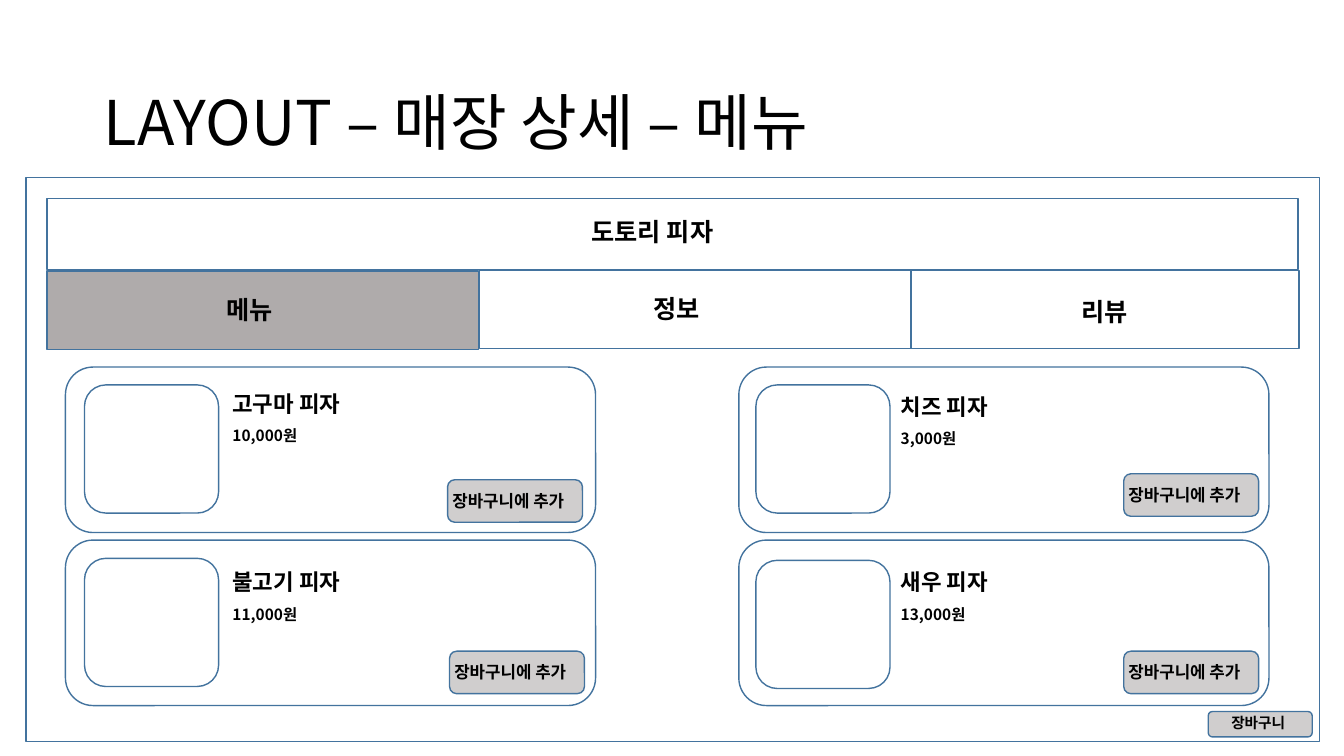
from dataclasses import dataclass

from lxml import etree
from pptx import Presentation
from pptx.dml.color import RGBColor
from pptx.enum.shapes import MSO_SHAPE
from pptx.enum.text import MSO_ANCHOR
from pptx.oxml.ns import qn
from pptx.util import Cm, Pt

RECTANGLE = MSO_SHAPE.RECTANGLE
ROUNDED = MSO_SHAPE.ROUNDED_RECTANGLE
MIDDLE = MSO_ANCHOR.MIDDLE
TOP = MSO_ANCHOR.TOP


@dataclass(frozen=True)
class Theme:
    """Font, colours and type sizes of the wireframe."""

    font: str = "Noto Sans CJK KR"
    ink: RGBColor = RGBColor(0x00, 0x00, 0x00)
    paper: RGBColor = RGBColor(0xFF, 0xFF, 0xFF)
    outline: RGBColor = RGBColor(0x43, 0x73, 0x9E)
    active: RGBColor = RGBColor(0xAF, 0xAB, 0xAB)
    button: RGBColor = RGBColor(0xD0, 0xCE, 0xCE)
    title: float = 44
    heading: float = 18
    item: float = 16
    action: float = 12
    price: float = 11
    cart: float = 10.5


@dataclass(frozen=True)
class MenuItem:
    """One menu card with its places in centimetres."""

    name: str
    price: str
    left: float
    top: float
    photo: tuple
    text: tuple
    button: tuple


THEME = Theme()
LEFT_COLUMN, RIGHT_COLUMN = 1.65, 18.62
UPPER_ROW, LOWER_ROW = 9.25, 13.61
MENU = (
    MenuItem("고구마 피자", "10,000원", LEFT_COLUMN, UPPER_ROW,
             (2.13, 9.7), (5.61, 9.7), (11.28, 12.09)),
    MenuItem("불고기 피자", "11,000원", LEFT_COLUMN, LOWER_ROW,
             (2.13, 14.07), (5.61, 14.2), (11.33, 16.41)),
    MenuItem("치즈 피자", "3,000원", RIGHT_COLUMN, UPPER_ROW,
             (19.05, 9.7), (22.45, 9.78), (28.32, 11.94)),
    MenuItem("새우 피자", "13,000원", RIGHT_COLUMN, LOWER_ROW,
             (19.05, 14.12), (22.45, 14.2), (28.32, 16.41)),
)
TABS = (
    ("메뉴", 1.19, 6.83, 10.87, THEME.active, (5.46, 7.29)),
    ("정보", 12.09, 6.81, 10.87, THEME.paper, (16.21, 7.26)),
    ("리뷰", 22.96, 6.81, 9.78, THEME.paper, (27.0, 7.34)),
)


def add_box(slide, kind, left, top, width, height, fill=THEME.paper):
    """Add an outlined preset shape."""
    shape = slide.shapes.add_shape(kind, Cm(left), Cm(top), Cm(width), Cm(height))
    shape.shadow.inherit = False
    shape.fill.solid()
    shape.fill.fore_color.rgb = fill
    shape.line.color.rgb = THEME.outline
    shape.line.width = Pt(1)


def add_label(slide, text, left, top, width, height, size, bold=True, anchor=TOP):
    """Add a one-line text box and return its paragraph."""
    box = slide.shapes.add_textbox(Cm(left), Cm(top), Cm(width), Cm(height))
    frame = box.text_frame
    frame.word_wrap = True
    frame.vertical_anchor = anchor
    paragraph = frame.paragraphs[0]
    paragraph.text = text
    font = paragraph.font
    font.name = THEME.font
    font.size = Pt(size)
    font.bold = bold
    font.color.rgb = THEME.ink
    properties = paragraph._p.pPr.find(qn("a:defRPr"))
    etree.SubElement(properties, qn("a:ea"), typeface=THEME.font)
    return paragraph


def add_tab(slide, text, left, top, width, fill, label_place):
    """Add one tab of the store page."""
    add_box(slide, RECTANGLE, left, top, width, 1.98, fill)
    add_label(slide, text, *label_place, 2.41, 1.02, THEME.heading)


def add_menu_card(slide, item):
    """Add a card with photo frame, name, price and button."""
    add_box(slide, ROUNDED, item.left, item.top, 13.36, 4.17)
    add_box(slide, ROUNDED, *item.photo, 3.38, 3.23)
    text_left, text_top = item.text
    add_label(slide, item.name, text_left, text_top, 4.52, 0.94, THEME.item)
    add_label(slide, item.price, text_left, text_top + 0.92, 7.85, 0.74, THEME.price)
    button_left, button_top = item.button
    add_box(slide, ROUNDED, button_left, button_top, 3.4, 1.07, THEME.button)
    add_label(slide, "장바구니에 추가", button_left - 0.13, button_top + 0.15,
              3.81, 0.76, THEME.action)


def main():
    """Build the store menu layout and save it."""
    presentation = Presentation()
    presentation.slide_width = Cm(33.87)
    presentation.slide_height = Cm(19.05)
    slide = presentation.slides.add_slide(presentation.slide_layouts[6])

    title = add_label(slide, "LAYOUT – 매장 상세 – 메뉴", 2.36, 1.32, 29.21, 3.68,
                      THEME.title, bold=False, anchor=MIDDLE)
    title.line_spacing = 0.9
    add_box(slide, RECTANGLE, 0.66, 4.47, 32.59, 14.22)
    add_box(slide, RECTANGLE, 1.19, 5.0, 31.52, 1.8)
    add_label(slide, "도토리 피자", 14.66, 5.33, 4.52, 1.02, THEME.heading)
    for tab in TABS:
        add_tab(slide, *tab)
    for item in MENU:
        add_menu_card(slide, item)
    add_box(slide, ROUNDED, 30.45, 17.93, 2.62, 0.64, THEME.button)
    add_label(slide, "장바구니", 30.78, 17.86, 2.36, 0.71, THEME.cart)

    presentation.save("out.pptx")


if __name__ == "__main__":
    main()
